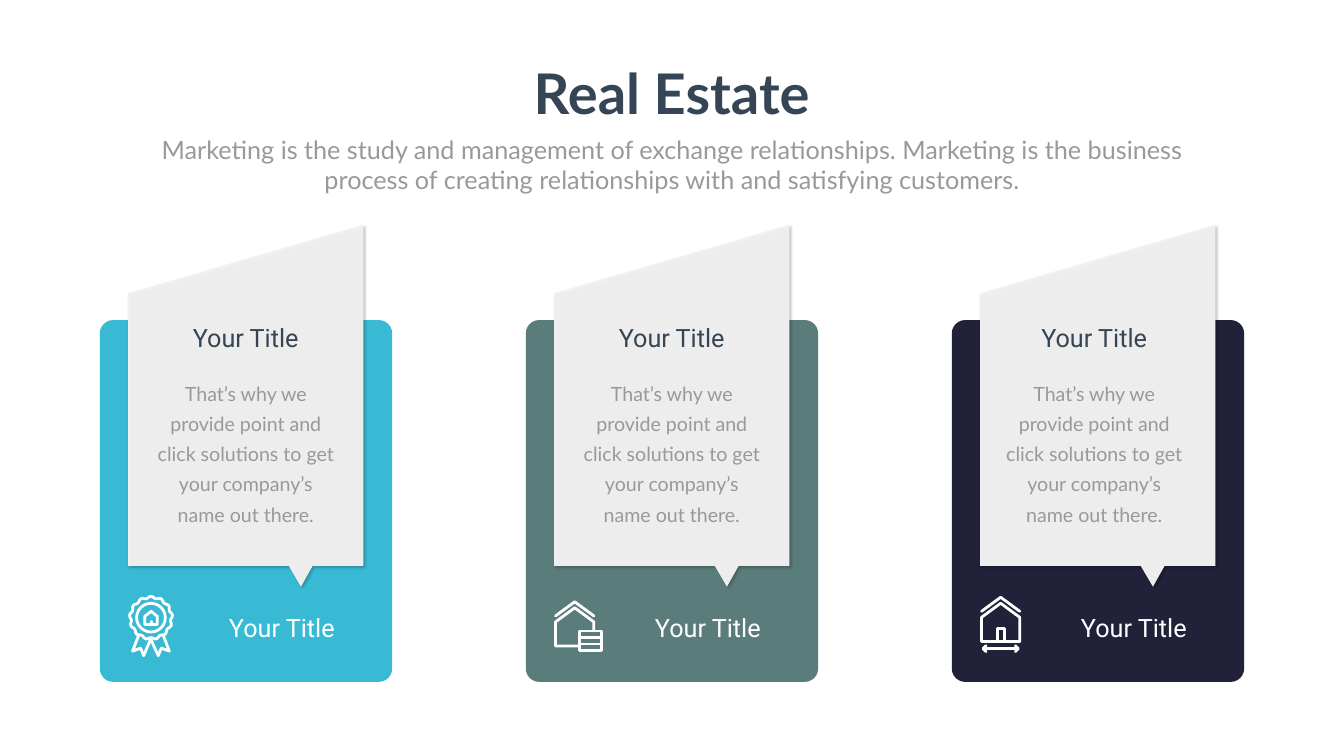
from math import cos, sin, tau

from lxml.etree import SubElement
from pptx import Presentation
from pptx.dml.color import RGBColor
from pptx.enum.shapes import MSO_SHAPE
from pptx.enum.text import MSO_ANCHOR, MSO_AUTO_SIZE, PP_ALIGN
from pptx.oxml import parse_xml
from pptx.oxml.ns import nsdecls, qn
from pptx.util import Inches, Pt

WHITE = RGBColor(0xFF, 0xFF, 0xFF)
GRAY = RGBColor(0x80, 0x80, 0x80)
NAVY = RGBColor(0x36, 0x45, 0x56)
BODY = RGBColor(0x99, 0x99, 0x99)
CYAN = RGBColor(0x39, 0xBA, 0xD4)
TEAL = RGBColor(0x5A, 0x7C, 0x7B)
INK = RGBColor(0x22, 0x21, 0x3A)

# Content
TITLE = "Real Estate"
SUBTITLE = ("Marketing is the study and management of exchange relationships. "
            "Marketing is the business process of creating relationships with "
            "and satisfying customers.")
BLURB = ("That’s why we provide point and click solutions to get "
         "your company’s name out there.")
# Card colour, heading, text, footer, icon, left of the text within the card
CARDS = [
    (CYAN, "Your Title", BLURB, "Your Title", "badge", 1.04),
    (TEAL, "Your Title", BLURB, "Your Title", "storage", 1.04),
    (INK, "Your Title", BLURB, "Your Title", "width", 0.97),
]

# Layout and outlines; x counts from the left of the card or flag
FIRST_X, PITCH, FLAG_DX = 1.98, 8.45, 0.56
FLAG = [(4.67, 4.46), (4.67, 11.23), (3.66, 11.23), (3.43, 11.64),
        (3.19, 11.23), (0, 11.23), (0, 5.82)]


def roof(top):
    return [(0.03, top + 0.28), (0.41, top), (0.79, top + 0.28)], False


def rosette(cx, cy, radius, bumps=13, steps=78):
    points = []
    for i in range(steps):
        a = tau * i / steps
        r = radius + 0.02 * cos(bumps * a)
        points.append((cx + r * sin(a), cy - r * cos(a)))
    return points, True


# Each icon is a list of (points, closed) strokes
ICONS = {
    "badge": [
        rosette(0.455, 12.26, 0.41),
        ([(0.21, 12.61), (0.09, 12.92), (0.25, 12.86), (0.31, 13.01), (0.45, 12.68),
          (0.6, 13.01), (0.66, 12.86), (0.82, 12.92), (0.7, 12.61)], False),
        ([(0.33, 12.39), (0.33, 12.23), (0.46, 12.13), (0.58, 12.23),
          (0.58, 12.39)], True),
        ([(0.46, 12.33), (0.46, 12.38)], False),
    ],
    "storage": [
        roof(11.94),
        ([(0.5, 12.82), (0.03, 12.82), (0.03, 12.34), (0.41, 12.06),
          (0.79, 12.34), (0.79, 12.52)], False),
        ([(0.5, 12.52), (0.94, 12.52), (0.94, 12.91), (0.5, 12.91)], True),
        ([(0.5, 12.65), (0.94, 12.65)], False),
        ([(0.5, 12.78), (0.94, 12.78)], False),
    ],
    "width": [
        roof(11.85),
        ([(0.03, 12.73), (0.03, 12.25), (0.41, 11.97), (0.79, 12.25),
          (0.79, 12.73)], True),
        ([(0.34, 12.73), (0.34, 12.47), (0.48, 12.47), (0.48, 12.73)], False),
        ([(0.07, 12.87), (0.75, 12.87)], False),
        ([(0.12, 12.81), (0.06, 12.87), (0.12, 12.93)], False),
        ([(0.7, 12.81), (0.76, 12.87), (0.7, 12.93)], False),
    ],
}
BADGE_RING = (0.17, 11.97, 0.57, 0.57)


def add_outline(shapes, points, x, closed=True):
    pts = [(Inches(x + px), Inches(py)) for px, py in points]
    fb = shapes.build_freeform(*pts[0])
    fb.add_line_segments(pts[1:], close=closed)
    sp = fb.convert_to_shape()
    sp.shadow.inherit = False
    return sp


def stroke(sp):
    sp.fill.background()
    sp.line.color.rgb = WHITE
    sp.line.width = Pt(4)
    ln = sp.line._get_or_add_ln()
    ln.set("cap", "rnd")
    SubElement(ln, qn("a:round"))


def add_flag(shapes, x, color, alpha=None):
    sp = add_outline(shapes, FLAG, x)
    sp.fill.solid()
    sp.fill.fore_color.rgb = color
    sp.line.fill.background()
    spPr = sp._element.spPr
    if alpha:
        clr = spPr.find(qn("a:solidFill")).find(qn("a:srgbClr"))
        SubElement(clr, qn("a:alpha"), val=str(alpha * 1000))
    spPr.find(qn("a:effectLst")).append(parse_xml(
        f'<a:outerShdw {nsdecls("a")} blurRad="{Pt(4)}" dist="{Pt(3)}" '
        'dir="2700000" algn="tl" rotWithShape="0"><a:srgbClr val="000000">'
        '<a:alpha val="20000"/></a:srgbClr></a:outerShdw>'))


def add_icon(shapes, name, x):
    grp = shapes.add_group_shape()
    for points, closed in ICONS[name]:
        stroke(add_outline(grp.shapes, points, x, closed))
    if name == "badge":
        dx, y, w, h = BADGE_RING
        ring = grp.shapes.add_shape(MSO_SHAPE.OVAL, Inches(x + dx), Inches(y),
                                    Inches(w), Inches(h))
        ring.shadow.inherit = False
        stroke(ring)


def set_text(sp, box, text, font, size, color, align=PP_ALIGN.CENTER,
             bold=False, spacing=None):
    sp.left, sp.top, sp.width, sp.height = (Inches(v) for v in box)
    tf = sp.text_frame
    tf.text = text
    tf.word_wrap = True
    tf.auto_size = MSO_AUTO_SIZE.NONE
    tf.vertical_anchor = MSO_ANCHOR.TOP
    p = tf.paragraphs[0]
    p.alignment = align
    p.space_before = Pt(0)
    if spacing:
        p.line_spacing = Pt(spacing)
    f = p.runs[0].font
    f.name, f.size, f.bold, f.color.rgb = font, Pt(size), bold, color


def add_text(shapes, box, *args, **kwargs):
    set_text(shapes.add_textbox(0, 0, 0, 0), box, *args, **kwargs)


def main():
    prs = Presentation()
    prs.slide_width, prs.slide_height = Inches(26.66), Inches(15)
    s = prs.slides.add_slide(prs.slide_layouts[0])

    # Heading
    set_text(s.shapes.title, (10.41, 1.12, 5.83, 1.45), TITLE, "Lato", 80, NAVY,
             bold=True)
    set_text(s.placeholders[1], (2.92, 2.61, 20.82, 1.31), SUBTITLE, "Lato", 36, BODY)

    # Cards
    for i, (color, heading, text, footer, icon, text_dx) in enumerate(CARDS):
        x = FIRST_X + i * PITCH
        card = s.shapes.add_shape(MSO_SHAPE.ROUNDED_RECTANGLE, Inches(x),
                                  Inches(6.35), Inches(5.8), Inches(7.18))
        card.adjustments[0] = 0.046
        card.shadow.inherit = False
        card.fill.solid()
        card.fill.fore_color.rgb = color
        card.line.fill.background()

        # White flag with a grey tint over it
        add_flag(s.shapes, x + FLAG_DX, WHITE)
        add_flag(s.shapes, x + FLAG_DX, GRAY, alpha=10)
        add_icon(s.shapes, icon, x + FLAG_DX)

        add_text(s.shapes, (x + 1.93, 12.1, 2.83, 0.71), footer, "Roboto", 36, WHITE,
                 align=PP_ALIGN.RIGHT)
        add_text(s.shapes, (x + text_dx + 0.12, 6.34, 3.47, 0.71), heading,
                 "Roboto", 36, NAVY)
        add_text(s.shapes, (x + text_dx, 7.4, 3.71, 3.05), text, "Lato", 28, BODY,
                 spacing=43)

    prs.save("out.pptx")


if __name__ == "__main__":
    main()
